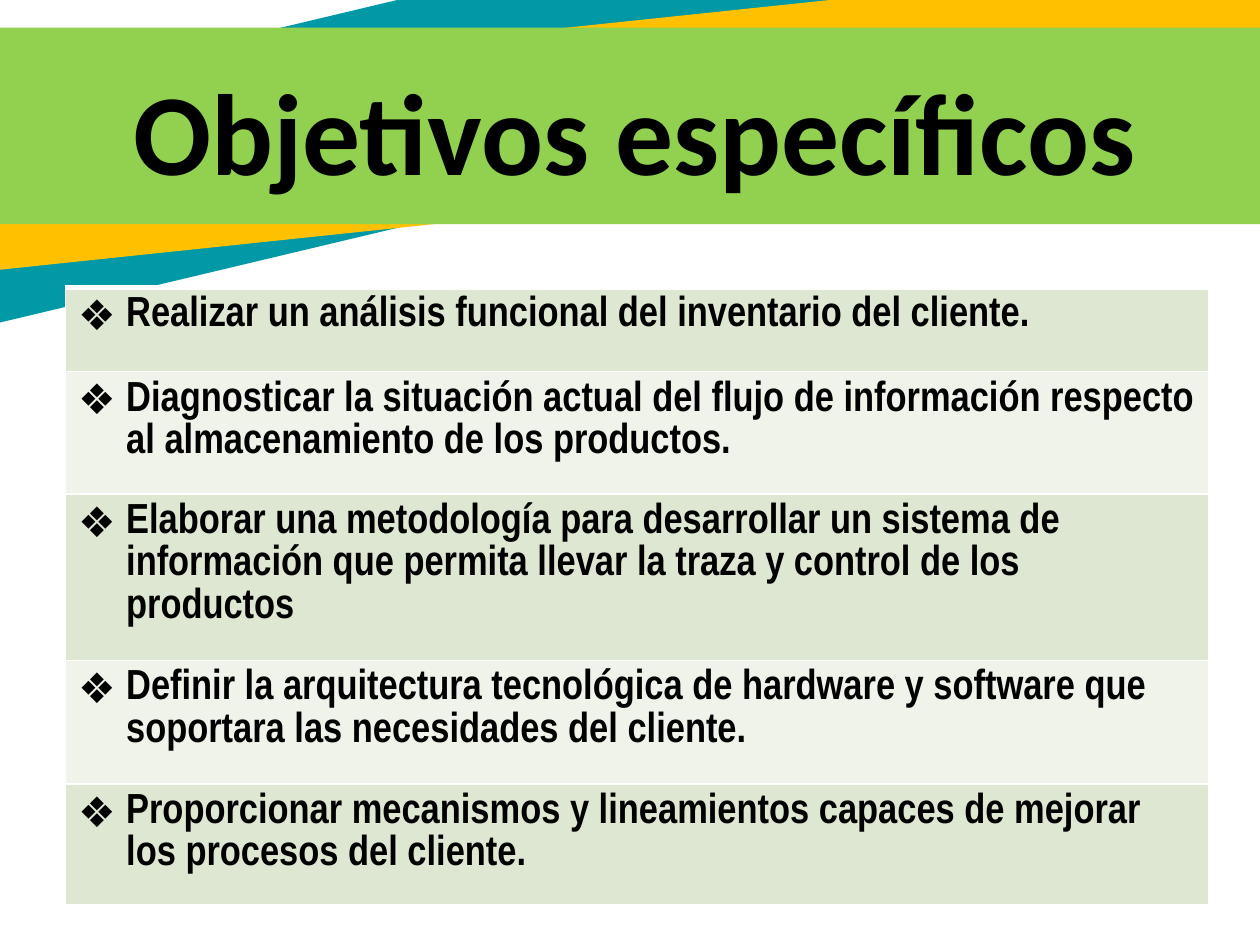
"""Build the slide of specific objectives: a banded title over a stack of one-cell tables."""
from lxml.etree import SubElement
from pptx import Presentation
from pptx.dml.color import RGBColor
from pptx.enum.shapes import MSO_SHAPE
from pptx.enum.text import MSO_AUTO_SIZE, PP_ALIGN
from pptx.oxml import parse_xml
from pptx.oxml.ns import nsdecls, qn
from pptx.util import Cm, Pt

TITLE = "Objetivos específicos"
TITLE_BOX = (2.31, 1.09, 20.98, 3.07)
TITLE_FORMAT = {"name": "Calibri", "size": Pt(66), "bold": True}
BODY_FORMAT = {"name": "Arial Narrow", "size": Pt(24), "bold": True}
BANDS = [
    ((-6.38, -0.46, 33.17, 4.47), 346.6, "0099A5"),
    ((-2.79, 0.51, 29.54, 3.66), 354, "FFC000"),
    ((-2.69, 0.56, 29.54, 3.96), 0, "92D050"),
]
OBJECTIVES = [
    (5.79, 1.75, 8, "Realizar un análisis funcional del inventario del cliente."),
    (7.49, 2.54, 8, "Diagnosticar la situación actual del flujo de información respecto "
                    "al almacenamiento de los productos."),
    (9.96, 4.42, 0, "Elaborar una metodología para desarrollar un sistema de información "
                    "que permita llevar la traza y control de los productos"),
    (13.31, 2.57, 0, "Definir la arquitectura tecnológica de hardware y software que "
                     "soportara las necesidades del cliente."),
    (15.8, 2.44, 0, "Proporcionar mecanismos y lineamientos capaces de mejorar "
                    "los procesos del cliente."),
]
TABLE_LEFT, TABLE_WIDTH = 1.32, 23.04
ROW_FILLS = ["DEE7D1", "EFF3EA"]
BULLET_INDENT = 0.97


def color(value):
    return RGBColor.from_string(value)


def lengths(values):
    return [Cm(value) for value in values]


def write(para, text, formats):
    span = para.add_run()
    span.text = text
    for name, value in formats.items():
        setattr(span.font, name, value)
    span.font.color.rgb = color("000000")


def add_band(page, place, rotation, fill):
    band = page.shapes.add_shape(MSO_SHAPE.RECTANGLE, *lengths(place))
    band.rotation = rotation
    band.shadow.inherit = False
    band.fill.solid()
    band.fill.fore_color.rgb = color(fill)
    band.line.fill.background()


def add_title(page):
    box = page.shapes.add_textbox(*lengths(TITLE_BOX))
    box.text_frame.word_wrap = False
    box.text_frame.auto_size = MSO_AUTO_SIZE.SHAPE_TO_FIT_TEXT
    para = box.text_frame.paragraphs[0]
    para.alignment = PP_ALIGN.CENTER
    write(para, TITLE, TITLE_FORMAT)


def add_borders(cell, top_width):
    properties = cell._tc.get_or_add_tcPr()
    widths = {"lnL": 1, "lnR": 1, "lnT": top_width, "lnB": 1}
    for position, (side, width) in enumerate(widths.items()):
        properties.insert(position, parse_xml(
            f'<a:{side} {nsdecls("a")} w="{Pt(width)}"><a:solidFill>'
            f'<a:srgbClr val="FFFFFF"/></a:solidFill></a:{side}>'))


def add_bullet(para):
    properties = para._p.get_or_add_pPr()
    properties.set("marL", str(Cm(BULLET_INDENT)))
    properties.set("indent", str(-Cm(BULLET_INDENT)))
    SubElement(properties, qn("a:buFont"), typeface="Arial")
    SubElement(properties, qn("a:buChar"), char="❖")


def add_objective(page, index, top, height, space_after, text):
    place = lengths((TABLE_LEFT, top, TABLE_WIDTH, height))
    table = page.shapes.add_table(1, 1, *place).table
    table.first_row = table.horz_banding = False
    cell = table.cell(0, 0)
    cell.fill.solid()
    cell.fill.fore_color.rgb = color(ROW_FILLS[index % 2])
    add_borders(cell, 3 if index == 0 else 1)
    para = cell.text_frame.paragraphs[0]
    para.line_spacing = 1.07
    para.space_after = Pt(space_after)
    add_bullet(para)
    write(para, text, BODY_FORMAT)


def main():
    deck = Presentation()
    deck.slide_width, deck.slide_height = Cm(25.4), Cm(19.05)
    page = deck.slides.add_slide(deck.slide_layouts[6])
    for band in BANDS:
        add_band(page, *band)
    add_title(page)
    for index, objective in enumerate(OBJECTIVES):
        add_objective(page, index, *objective)
    deck.save("out.pptx")


if __name__ == "__main__":
    main()
